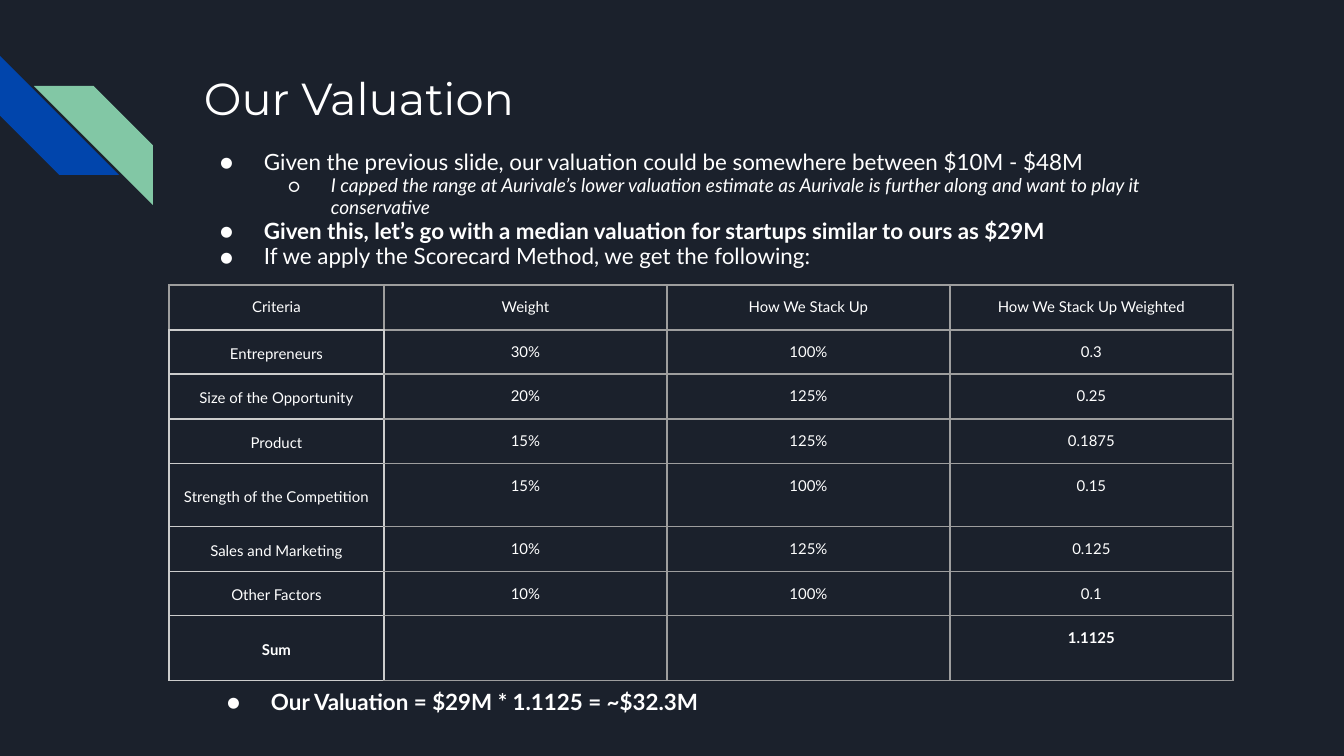
from dataclasses import dataclass
from typing import Any

import lxml.etree
import pptx
import pptx.dml.color
import pptx.enum.shapes
import pptx.enum.text
import pptx.oxml.ns
import pptx.util

EMU_PER_PX = 914400 / 134.4
INSET = 13
MARGINS = ("margin_left", "margin_top", "margin_right", "margin_bottom")
qn = pptx.oxml.ns.qn


@dataclass(frozen=True)
class Theme:
    background: str = "1B212C"
    text: str = "FFFFFF"
    blue: str = "0145AC"
    green: str = "82C7A5"
    border: str = "9E9E9E"
    light_border: str = "CCCCCC"
    title_font: str = "Montserrat"
    body_font: str = "Lato"
    title_size: float = 24
    body_size: float = 12
    detail_size: float = 10.2
    table_size: float = 8
    border_width: float = 0.75


@dataclass(frozen=True)
class Box:
    left: int
    top: int
    width: int
    height: int


@dataclass(frozen=True)
class Stripe:
    box: Box
    color: str
    rotation: int = 0
    flipped: bool = False


@dataclass(frozen=True)
class Bullet:
    text: str
    level: int = 0
    bold: bool = False


THEME = Theme()
STRIPES = (
    Stripe(Box(0, 56, 119, 119), THEME.blue, rotation=270),
    Stripe(Box(34, 86, 119, 119), THEME.green, flipped=True),
)
TITLE_BOX = Box(191, 58, 1035, 134)
POINTS_BOX = Box(184, 137, 1035, 148)
RESULT_BOX = Box(191, 671, 1035, 70)
POINTS = (
    Bullet("Given the previous slide, our valuation could be somewhere between $10M - $48M"),
    Bullet("I capped the range at Aurivale’s lower valuation estimate as Aurivale is "
           "further along and want to play it conservative", level=1),
    Bullet("Given this, let’s go with a median valuation for startups similar to ours as $29M",
           bold=True),
    Bullet("If we apply the Scorecard Method, we get the following:"),
)
RESULT = (Bullet("Our Valuation = $29M * 1.1125 = ~$32.3M", bold=True),)

TABLE_LEFT, TABLE_TOP = 169, 285
COLUMN_WIDTHS = (215, 283, 283, 283)
ROW_HEIGHTS = (45, 44, 45, 45, 63, 45, 44, 65)
SCORECARD = (
    ("Criteria", "Weight", "How We Stack Up", "How We Stack Up Weighted"),
    ("Entrepreneurs", "30%", "100%", "0.3"),
    ("Size of the Opportunity", "20%", "125%", "0.25"),
    ("Product", "15%", "125%", "0.1875"),
    ("Strength of the Competition", "15%", "100%", "0.15"),
    ("Sales and Marketing", "10%", "125%", "0.125"),
    ("Other Factors", "10%", "100%", "0.1"),
    ("Sum", "", "", "1.1125"),
)


def px(length: int) -> int:
    return round(length * EMU_PER_PX)


def rgb(color: str) -> pptx.dml.color.RGBColor:
    return pptx.dml.color.RGBColor.from_string(color)


def place(box: Box) -> tuple[int, ...]:
    return tuple(px(length) for length in (box.left, box.top, box.width, box.height))


def apply(target: Any, values: dict[str, Any]) -> None:
    for name, value in values.items():
        setattr(target, name, value)


def add_run(paragraph: Any, text: str, size: float, font: str = THEME.body_font,
            bold: bool = False, italic: bool = False) -> None:
    run = paragraph.add_run()
    run.text = text
    apply(run.font, {"name": font, "size": pptx.util.Pt(size), "bold": bold, "italic": italic})
    run.font.color.rgb = rgb(THEME.text)


def add_stripe(slide: Any, stripe: Stripe) -> None:
    kind = pptx.enum.shapes.MSO_SHAPE.DIAGONAL_STRIPE
    shape = slide.shapes.add_shape(kind, *place(stripe.box))
    shape.shadow.inherit = False
    shape.rotation = stripe.rotation
    shape.fill.solid()
    shape.fill.fore_color.rgb = rgb(stripe.color)
    shape.line.fill.background()
    if stripe.flipped:
        shape._element.spPr.find(qn("a:xfrm")).set("flipH", "1")


def add_text_frame(slide: Any, box: Box) -> Any:
    frame = slide.shapes.add_textbox(*place(box)).text_frame
    apply(frame, {"word_wrap": True,
                  "vertical_anchor": pptx.enum.text.MSO_ANCHOR.TOP,
                  **dict.fromkeys(MARGINS, px(INSET))})
    return frame


def add_bullets(slide: Any, box: Box, bullets: tuple[Bullet, ...], spacing: float) -> None:
    frame = add_text_frame(slide, box)
    for index, bullet in enumerate(bullets):
        paragraph = frame.add_paragraph() if index else frame.paragraphs[0]
        nested = bullet.level > 0
        apply(paragraph, {"level": bullet.level, "line_spacing": spacing})
        properties = paragraph._p.get_or_add_pPr()
        properties.set("marL", str(px(67 * (bullet.level + 1))))
        properties.set("indent", str(px(-43 if nested else -44)))
        color = lxml.etree.SubElement(properties, qn("a:buClr"))
        lxml.etree.SubElement(color, qn("a:srgbClr"), val=THEME.text)
        lxml.etree.SubElement(properties, qn("a:buFont"), typeface=THEME.body_font)
        lxml.etree.SubElement(properties, qn("a:buChar"), char="○" if nested else "●")
        size = THEME.detail_size if nested else THEME.body_size
        add_run(paragraph, bullet.text, size, bold=bullet.bold, italic=nested)


def set_borders(cell: Any, colors: dict[str, str]) -> None:
    properties = cell._tc.get_or_add_tcPr()
    for side, color in colors.items():
        line = lxml.etree.SubElement(properties, qn(f"a:ln{side}"),
                                     w=str(pptx.util.Pt(THEME.border_width)))
        fill = lxml.etree.SubElement(line, qn("a:solidFill"))
        lxml.etree.SubElement(fill, qn("a:srgbClr"), val=color)


def fill_cell(cell: Any, text: str, row: int, column: int) -> None:
    criterion = row > 0 and column == 0
    anchor = pptx.enum.text.MSO_ANCHOR
    margins = (4, 3, 4, 3) if criterion else (INSET,) * 4
    apply(cell, {"vertical_anchor": anchor.MIDDLE if criterion else anchor.TOP,
                 **dict(zip(MARGINS, map(px, margins)))})

    # Lines that touch a criterion cell are lighter
    light = {"L": row > 0 and column < 2, "R": criterion,
             "T": criterion, "B": column == 0}
    set_borders(cell, {side: THEME.light_border if is_light else THEME.border
                       for side, is_light in light.items()})
    cell.fill.background()

    paragraph = cell.text_frame.paragraphs[0]
    apply(paragraph, {"alignment": pptx.enum.text.PP_ALIGN.CENTER,
                      "line_spacing": 1.15 if criterion else 1.0})
    if text:
        add_run(paragraph, text, THEME.table_size, bold=row == len(SCORECARD) - 1)
    else:
        lxml.etree.SubElement(paragraph._p, qn("a:endParaRPr"), sz=str(THEME.table_size * 100))


def add_scorecard(slide: Any) -> None:
    box = Box(TABLE_LEFT, TABLE_TOP, sum(COLUMN_WIDTHS), sum(ROW_HEIGHTS))
    table = slide.shapes.add_table(len(ROW_HEIGHTS), len(COLUMN_WIDTHS), *place(box)).table
    apply(table, {"first_row": False, "horz_banding": False})
    for column, width in zip(table.columns, COLUMN_WIDTHS):
        column.width = px(width)
    for row, height in zip(table.rows, ROW_HEIGHTS):
        row.height = px(height)
    for row, texts in enumerate(SCORECARD):
        for column, text in enumerate(texts):
            fill_cell(table.cell(row, column), text, row, column)


def main() -> None:
    presentation = pptx.Presentation()
    apply(presentation, {"slide_width": px(1344), "slide_height": px(756)})
    slide = presentation.slides.add_slide(presentation.slide_layouts[6])
    slide.background.fill.solid()
    slide.background.fill.fore_color.rgb = rgb(THEME.background)

    # Corner decoration
    for stripe in STRIPES:
        add_stripe(slide, stripe)

    # Title and reasoning
    title = add_text_frame(slide, TITLE_BOX).paragraphs[0]
    add_run(title, "Our Valuation", THEME.title_size, THEME.title_font)
    add_bullets(slide, POINTS_BOX, POINTS, 0.95)

    # Scorecard and result
    add_scorecard(slide)
    add_bullets(slide, RESULT_BOX, RESULT, 1.15)
    presentation.save("out.pptx")


if __name__ == "__main__":
    main()
